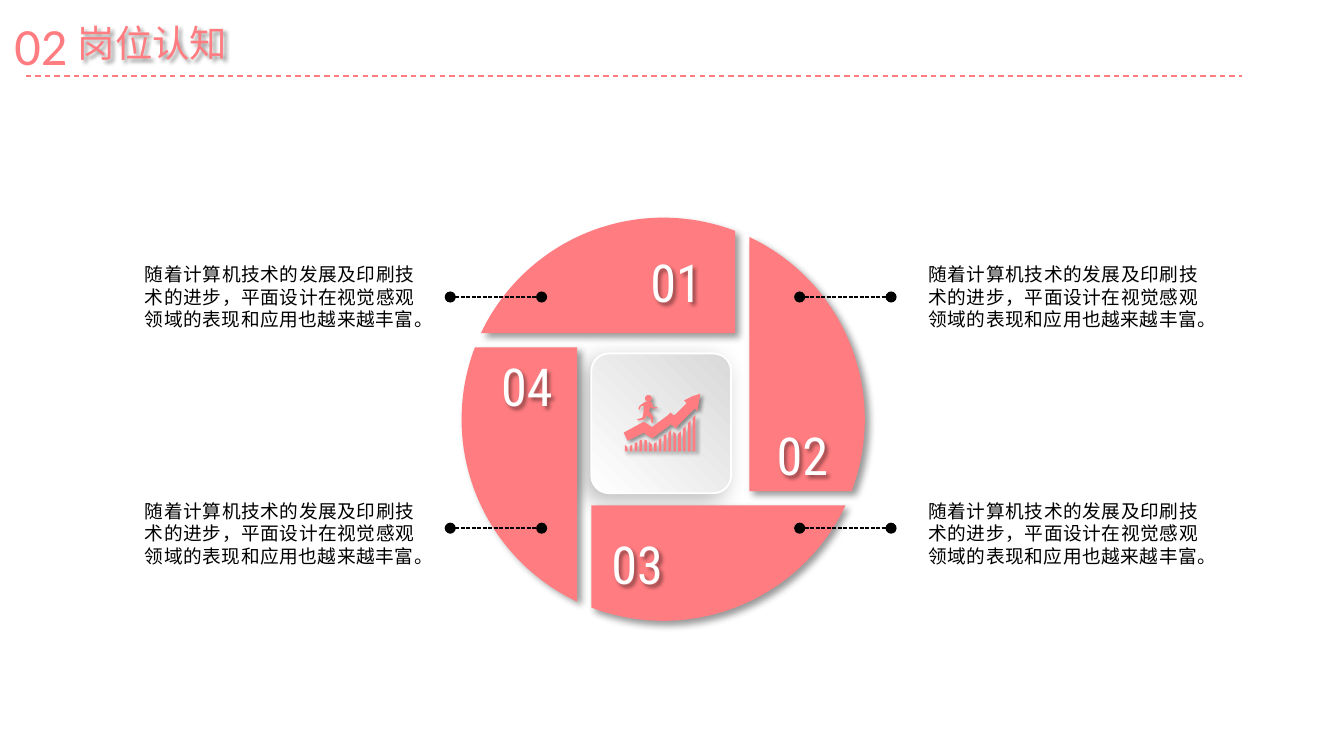
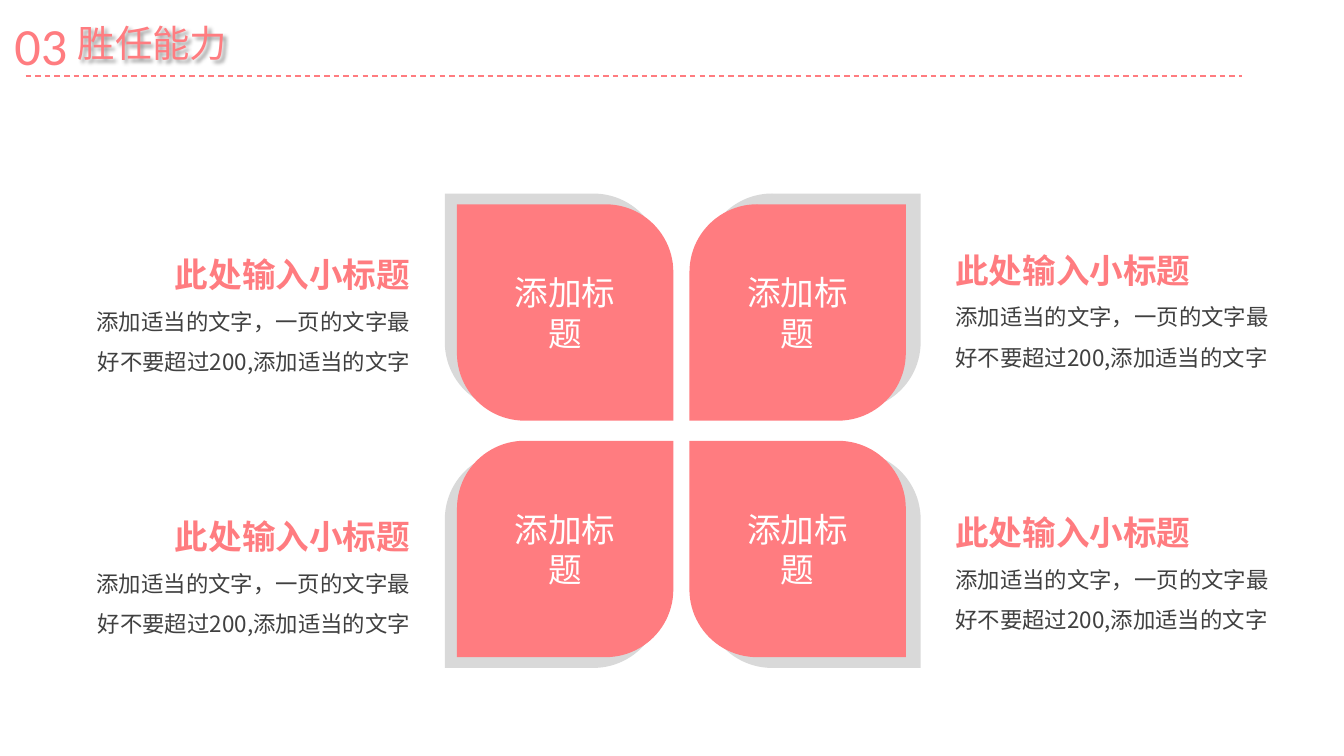
from dataclasses import dataclass
from math import asin, acos, cos, pi, sin
from typing import Any, Optional

from lxml.etree import SubElement
from pptx import Presentation
from pptx.dml.color import RGBColor
from pptx.enum.dml import MSO_LINE as Dash
from pptx.enum.shapes import MSO_CONNECTOR as Link, MSO_SHAPE as Preset
from pptx.enum.text import MSO_ANCHOR as Anchor, MSO_AUTO_SIZE as Fit, PP_ALIGN as Align
from pptx.oxml.ns import qn
from pptx.util import Emu, Inches, Pt

CORAL = RGBColor(0xFF, 0x7C, 0x80)
WHITE = RGBColor(0xFF, 0xFF, 0xFF)
SILVER = RGBColor(0xD9, 0xD9, 0xD9)
BLACK = RGBColor(0, 0, 0)
CHARCOAL = RGBColor(0x40, 0x40, 0x40)

SLIDE_WIDTH, SLIDE_HEIGHT = Inches(10), Inches(5.625)
COLUMNS = 100
CELL = SLIDE_WIDTH / COLUMNS

HAN = "Noto Sans CJK SC"
DIGITS = "Roboto Condensed"
Point = tuple[float, float]


@dataclass(frozen=True)
class Box:
    """A rectangle measured in grid cells."""
    left: float
    top: float
    width: float
    height: float

    def emu(self) -> tuple[Emu, ...]:
        """Return the rectangle as slide lengths."""
        return tuple(cells(n) for n in (self.left, self.top, self.width, self.height))


@dataclass(frozen=True)
class Type:
    """The look of one run of text."""
    size: float
    color: RGBColor
    face: str = HAN
    bold: bool = False


@dataclass(frozen=True)
class Shadow:
    """An outer shadow: percent, points, points and degrees."""
    opacity: int
    blur: float
    distance: float
    angle: int


@dataclass(frozen=True)
class Segment:
    """One blade of the wheel with its number."""
    number: str
    label_left: float
    label_top: float


@dataclass(frozen=True)
class Side:
    """One column of petals with its captions."""
    plate_left: float
    face_left: float
    caption_left: float
    caption_top: float
    align: Align


TITLE = Type(20, CORAL)
CHAPTER = Type(28, CORAL, "Calibri")
NUMBER = Type(28, WHITE, DIGITS)
NOTE = Type(10, BLACK)
PETAL = Type(18, WHITE)
SUBTITLE = Type(18, CORAL, bold=True)
DETAIL = Type(12, CHARCOAL)

TEXT_SHADOW = Shadow(40, 2, 2, 45)
BLADE_SHADOW = Shadow(40, 4, 3, 45)
HUB_SHADOW = Shadow(26, 12, 5, 135)

NOTE_TEXT = "随着计算机技术的发展及印刷技术的进步，平面设计在视觉感观领域的表现和应用也越来越丰富。"
DETAIL_TEXT = "添加适当的文字，一页的文字最好不要超过200,添加适当的文字"

WHEEL_X, WHEEL_Y, WHEEL_RADIUS = 49.35, 31.2, 15
BLADE_EDGE, BLADE_BASE = 5.35, 6.4
SEGMENTS = (Segment("01", 46.9, 18.1), Segment("02", 56.3, 31),
            Segment("03", 44, 39.1), Segment("04", 35.8, 25.9))

BAR_BASE, BAR_LEFT, BAR_WIDTH, BAR_PITCH = 33.6, 46.5, 0.2, 0.36
BAR_TOPS = ((33.1, 33.3), (33.2, 33.1), (33, 32.9), (32.8, 32.7), (32.7, 32.8),
            (32.9, 33.1), (33, 32.9), (32.7, 32.6), (32.4, 32.3), (32.2, 32),
            (32.1, 32.3), (32.3, 32.1), (31.9, 31.7), (31.5, 31.3), (31.1, 30.9))
ARROW = ((46.4, 32.2), (46.7, 32.8), (47.9, 32.2), (48.3, 32.5), (48.5, 32.6),
         (48.7, 32.5), (49.9, 31.6), (50.1, 31.7), (50.3, 31.9), (50.5, 31.6),
         (51.7, 30.4), (51.9, 30.6), (52, 30), (52.1, 29.3), (51.5, 29.5),
         (50.9, 29.8), (51.1, 30), (50.2, 30.9), (50.1, 30.9), (49.9, 30.7),
         (49.7, 30.9), (48.5, 31.8), (48.1, 31.5), (47.9, 31.4), (47.7, 31.5))
RUNNER = ((47.5, 30.4), (47.6, 30.2), (48, 29.9), (48.5, 29.9), (48.6, 30.3),
          (48.9, 30.3), (48.9, 30.4), (48.5, 30.4), (48.4, 30.3), (48.3, 30.6),
          (48.6, 31), (48.6, 31.5), (48.5, 31.5), (48.4, 31.1), (48.1, 30.9),
          (48, 31.2), (47.5, 31.3), (47.4, 31.2), (47.8, 31.1), (47.9, 30.6),
          (47.9, 30.2), (47.7, 30.2), (47.6, 30.5))

PETAL_SIZE, PETAL_ROUNDING = 16.1, 0.313
SIDES = (Side(33.1, 34, 5.9, 16.9, Align.RIGHT), Side(52.4, 51.3, 70.1, 16.6, Align.LEFT))
PLATE_TOPS, FACE_TOPS = (14.4, 33.6), (15.2, 32.8)
CAPTION_PITCH = 19.5


def cells(count: float) -> Emu:
    """Turn grid cells into a slide length."""
    return Emu(round(count * CELL))


def assign(target: Any, values: dict[str, Any]) -> None:
    """Set every named value on the target."""
    for name, value in values.items():
        setattr(target, name, value)


def cast_shadow(shape: Any, shadow: Optional[Shadow]) -> None:
    """Replace the theme shadow with the given one, or with none."""
    shape.shadow.inherit = False
    if shadow is None:
        return
    effects = shape.element.spPr.find(qn("a:effectLst"))
    outer = SubElement(effects, qn("a:outerShdw"), blurRad=str(Pt(shadow.blur)),
                       dist=str(Pt(shadow.distance)), dir=str(shadow.angle * 60000),
                       algn="ctr", rotWithShape="0")
    tint = SubElement(outer, qn("a:srgbClr"), val=str(BLACK))
    SubElement(tint, qn("a:alpha"), val=str(shadow.opacity * 1000))


def paint(shape: Any, color: RGBColor, shadow: Optional[Shadow] = None) -> None:
    """Fill a shape without an outline."""
    shape.fill.solid()
    shape.fill.fore_color.rgb = color
    shape.line.fill.background()
    cast_shadow(shape, shadow)


def write(frame: Any, lines: list[tuple[str, Type]], layout: dict[str, Any]) -> None:
    """Fill a text frame with one paragraph for each line."""
    for index, (words, style) in enumerate(lines):
        paragraph = frame.paragraphs[0] if index == 0 else frame.add_paragraph()
        assign(paragraph, layout)
        run = paragraph.add_run()
        run.text = words
        assign(run.font, {"size": Pt(style.size), "bold": style.bold, "name": style.face})
        run.font.color.rgb = style.color
        SubElement(run.font._element, qn("a:ea"), typeface=style.face)


def add_text(slide: Any, box: Box, lines: list[tuple[str, Type]], wrap: bool = True,
             shadow: Optional[Shadow] = None, **layout: Any) -> None:
    """Place a text box that grows with its text."""
    holder = slide.shapes.add_textbox(*box.emu())
    assign(holder.text_frame, {"word_wrap": wrap, "auto_size": Fit.SHAPE_TO_FIT_TEXT})
    write(holder.text_frame, lines, layout)
    if shadow:
        cast_shadow(holder, shadow)


def add_rule(slide: Any, left: float, right: float, top: float, color: RGBColor,
             dash: Dash, dotted_ends: bool = False) -> None:
    """Draw a dashed horizontal line."""
    rule = slide.shapes.add_connector(Link.STRAIGHT, cells(left), cells(top),
                                      cells(right), cells(top))
    rule.line.color.rgb = color
    assign(rule.line, {"width": Pt(0.75), "dash_style": dash})
    if dotted_ends:
        for end in ("a:headEnd", "a:tailEnd"):
            SubElement(rule.line._get_or_add_ln(), qn(end), type="oval")
    SubElement(rule.element.spPr, qn("a:effectLst"))


def add_outline(slide: Any, contours: list[list[Point]], shadow: Shadow) -> None:
    """Draw closed contours as one coral shape."""
    scaled = [[(cells(x), cells(y)) for x, y in contour] for contour in contours]
    builder = slide.shapes.build_freeform(*scaled[0][0])
    for index, contour in enumerate(scaled):
        if index:
            builder.move_to(*contour[0])
        builder.add_line_segments(contour[1:], close=True)
    paint(builder.convert_to_shape(), CORAL, shadow)


def arc(x: float, y: float, radius: float, start: float, end: float, steps: int) -> list[Point]:
    """List points along an arc given in radians."""
    angles = (start + (end - start) * step / steps for step in range(steps + 1))
    return [(x + radius * cos(angle), y + radius * sin(angle)) for angle in angles]


def blade(turn: int) -> list[Point]:
    """Outline a blade turned clockwise by quarter turns."""
    quarter = turn * pi / 2
    start = pi + asin(BLADE_BASE / WHEEL_RADIUS) + quarter
    end = 2 * pi - acos(BLADE_EDGE / WHEEL_RADIUS) + quarter
    corner = (WHEEL_X + BLADE_EDGE * cos(quarter) + BLADE_BASE * sin(quarter),
              WHEEL_Y + BLADE_EDGE * sin(quarter) - BLADE_BASE * cos(quarter))
    return [*arc(WHEEL_X, WHEEL_Y, WHEEL_RADIUS, start, end, 48), corner]


def growth_icon() -> list[list[Point]]:
    """Outline the bars, the rising arrow and the runner."""
    bars = []
    for index, (left_top, right_top) in enumerate(BAR_TOPS):
        left = BAR_LEFT + index * BAR_PITCH
        right = left + BAR_WIDTH
        bars.append([(left, left_top), (right, right_top), (right, BAR_BASE), (left, BAR_BASE)])
    head = arc(48.25, 29.65, 0.25, 0, 2 * pi, 24)
    return [head, *bars, list(ARROW), list(RUNNER)]


def add_page(deck: Any, chapter: str, title: str) -> Any:
    """Add a blank slide with the shared heading."""
    slide = deck.slides.add_slide(deck.slide_layouts[6])
    add_rule(slide, 1.9, 92.4, 5.65, CORAL, Dash.DASH)
    add_text(slide, Box(4.8, 1, 35.4, 4.4), [(title, TITLE)], shadow=TEXT_SHADOW)
    add_text(slide, Box(0.1, 0.5, 6, 5.7), [(chapter, CHAPTER)], wrap=False)
    return slide


def add_hub(slide: Any) -> None:
    """Draw the tile in the middle of the wheel."""
    hub = slide.shapes.add_shape(Preset.ROUNDED_RECTANGLE, *Box(44, 26.3, 10.4, 10.4).emu())
    hub.adjustments[0] = 0.127
    hub.fill.gradient()
    hub.fill.gradient_angle = 45
    for stop, color, position in zip(hub.fill.gradient_stops, (WHITE, SILVER), (0, 1)):
        stop.color.rgb = color
        stop.position = position
    hub.line.color.rgb = WHITE
    hub.line.width = Pt(1)
    cast_shadow(hub, HUB_SHADOW)


def build_role(deck: Any) -> None:
    """Build the wheel of four numbered blades."""
    slide = add_page(deck, "02", "岗位认知")
    add_hub(slide)
    add_outline(slide, growth_icon(), TEXT_SHADOW)
    for turn, segment in enumerate(SEGMENTS):
        add_outline(slide, [blade(turn)], BLADE_SHADOW)
        add_text(slide, Box(segment.label_left, segment.label_top, 6.8, 5.7),
                 [(segment.number, NUMBER)], shadow=TEXT_SHADOW, alignment=Align.CENTER)
    for leader_left, note_left in ((33.5, 9.8), (59.5, 68.1)):
        for leader_top, note_top in ((22.1, 19.1), (39.3, 36.7)):
            add_rule(slide, leader_left, leader_left + 6.8, leader_top, BLACK,
                     Dash.SQUARE_DOT, dotted_ends=True)
            add_text(slide, Box(note_left, note_top, 22, 6.1), [(NOTE_TEXT, NOTE)],
                     alignment=Align.JUSTIFY, line_spacing=Pt(12))


def add_petal(slide: Any, left: float, top: float, color: RGBColor, rising: bool) -> Any:
    """Draw a square with two opposite corners rounded."""
    petal = slide.shapes.add_shape(Preset.ROUND_2_DIAG_RECTANGLE,
                                   *Box(left, top, PETAL_SIZE, PETAL_SIZE).emu())
    petal.adjustments[0] = 0 if rising else PETAL_ROUNDING
    petal.adjustments[1] = PETAL_ROUNDING if rising else 0
    paint(petal, color)
    return petal


def build_ability(deck: Any) -> None:
    """Build the four petals with their captions."""
    slide = add_page(deck, "03", "胜任能力")
    for column, side in enumerate(SIDES):
        for row, (plate_top, face_top) in enumerate(zip(PLATE_TOPS, FACE_TOPS)):
            rising = column == row
            add_petal(slide, side.plate_left, plate_top, SILVER, rising)
            frame = add_petal(slide, side.face_left, face_top, CORAL, rising).text_frame
            assign(frame, {"word_wrap": True, "vertical_anchor": Anchor.MIDDLE,
                           "margin_left": cells(1.3), "margin_right": cells(1.3),
                           "margin_top": cells(0.6), "margin_bottom": cells(0.6)})
            write(frame, [("添加标", PETAL), ("题", PETAL)], {"alignment": Align.CENTER})
            caption = Box(side.caption_left, side.caption_top + row * CAPTION_PITCH, 25.6, 11.6)
            add_text(slide, caption, [("此处输入小标题", SUBTITLE), (DETAIL_TEXT, DETAIL)],
                     alignment=side.align, line_spacing=1.5)


def main() -> None:
    """Build and save the presentation."""
    deck = Presentation()
    assign(deck, {"slide_width": SLIDE_WIDTH, "slide_height": SLIDE_HEIGHT})
    build_role(deck)
    build_ability(deck)
    deck.save("out.pptx")


if __name__ == "__main__":
    main()
